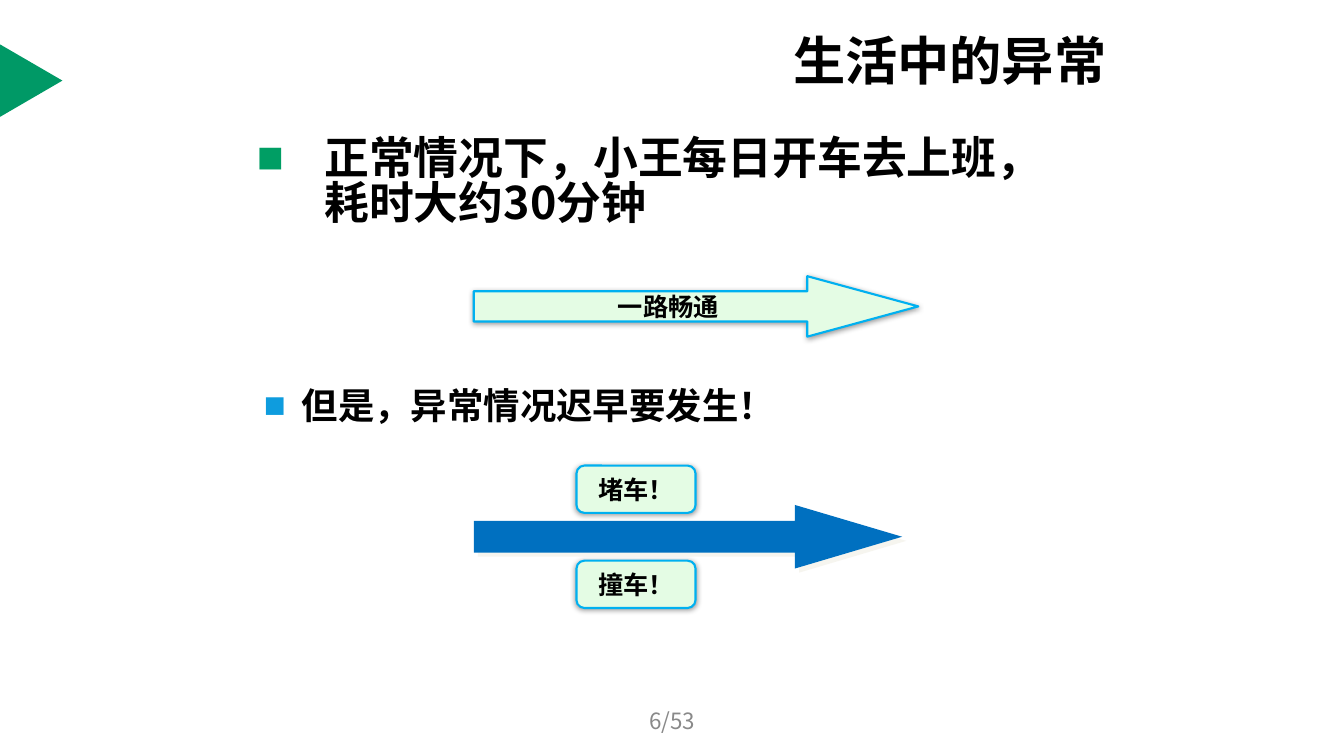
from lxml import etree
from pptx import Presentation
from pptx import util as u
from pptx.dml.color import RGBColor
from pptx.enum import shapes, text
from pptx.oxml.ns import qn

COLORS = {"ink": "000000", "grey": "898989", "marker": "009966",
          "bullet": "009E64", "sub_bullet": "0E9CDE", "pale": "E4FCE4",
          "outline": "00B0F0", "blue": "0070C0", "cream": "EEECE1"}
NOTO, ARIAL = "Noto Sans CJK SC", "Arial"

# Boxes are (left, top, width, height) in points
MARKER_BOX = (-3.6, 35.3, 51.8, 44.6)
TITLE = ("生活中的异常", (559.4, 22.3, 266.4, 41))
PAGE_NUMBER = ("6/53", (328.3, 500.4, 303.8, 28.8))
# text, box, size, font, indent, bullet colour, line spacing
BULLETS = [
    ("正常情况下，小王每日开车去上班，耗时大约30分钟",
     (176.4, 95.8, 601.9, 394.6), 32, NOTO, 48.2, "bullet", 0.83),
    ("但是，异常情况迟早要发生！",
     (181.4, 270, 612, 45.4), 26, ARIAL, 27, "sub_bullet", 1),
]
ARROW_LEFT = 338.4
SMOOTH_ROAD = ("一路畅通", (ARROW_LEFT, 197.3, 317.5, 43.2), 1.835)
BLOCKED_ROAD = ("", (ARROW_LEFT, 360.7, 306, 45.4), 1.687)
TROUBLES = ["堵车！", "撞车！"]
TROUBLE_BOX, TROUBLE_PITCH = (411.8, 332.6, 85, 33.8), 67.9
# colour, opacity %, blur, distance, angle
SOFT_SHADOW = ("ink", 40, 4, 1, 90)
OFFSET_SHADOW = ("cream", 50, 0, 4.2, 45)


def rgb(name):
    return RGBColor.from_string(COLORS[name])


def points(box):
    return [u.Pt(value) for value in box]


def write(frame, words, size, font, color="ink", bold=True,
          align=text.PP_ALIGN.LEFT, anchor=text.MSO_ANCHOR.MIDDLE):
    frame.word_wrap = True
    frame.vertical_anchor = anchor
    paragraph = frame.paragraphs[0]
    paragraph.text = words
    paragraph.alignment = align
    run = paragraph.runs[0]
    run.font.size, run.font.bold, run.font.name = u.Pt(size), bold, font
    run.font.color.rgb = rgb(color)
    etree.SubElement(run.font._element, qn("a:ea"), typeface=NOTO)
    return paragraph


def add_text(slide, words, box, *style, **options):
    frame = slide.shapes.add_textbox(*points(box)).text_frame
    return write(frame, words, *style, **options)


def add_bullet(paragraph, indent, color):
    """Hang the paragraph behind a square bullet."""
    props = paragraph._p.get_or_add_pPr()
    props.set("marL", str(u.Pt(indent)))
    props.set("indent", str(-u.Pt(indent)))
    bullet_color = etree.SubElement(props, qn("a:buClr"))
    etree.SubElement(bullet_color, qn("a:srgbClr"), val=COLORS[color])
    etree.SubElement(props, qn("a:buFont"), typeface=ARIAL)
    etree.SubElement(props, qn("a:buChar"), char="■")


def add_shadow(shape, color, opacity, blur, distance, angle):
    effects = shape._element.spPr.find(qn("a:effectLst"))
    shadow = etree.SubElement(
        effects, qn("a:outerShdw"), blurRad=str(u.Pt(blur)),
        dist=str(u.Pt(distance)), dir=str(angle * 60000),
        algn="ctr", rotWithShape="0")
    tint = etree.SubElement(shadow, qn("a:srgbClr"), val=COLORS[color])
    etree.SubElement(tint, qn("a:alpha"), val=str(opacity * 1000))


def add_block(slide, kind, box, fill, words="", outline=None, shadow=None):
    block = slide.shapes.add_shape(kind, *points(box))
    block.shadow.inherit = False
    block.fill.solid()
    block.fill.fore_color.rgb = rgb(fill)
    if outline:
        block.line.color.rgb = rgb(outline)
        block.line.width = u.Pt(1.5)
    else:
        block.line.fill.background()
    if shadow:
        add_shadow(block, *shadow)
    if words:
        write(block.text_frame, words, 18, ARIAL, align=text.PP_ALIGN.CENTER)
    return block


def main():
    deck = Presentation()
    deck.slide_width, deck.slide_height = u.Pt(960), u.Pt(540)
    slide = deck.slides.add_slide(deck.slide_layouts[6])
    kinds = shapes.MSO_SHAPE

    marker = add_block(slide, kinds.ISOSCELES_TRIANGLE, MARKER_BOX, "marker")
    marker.rotation = 90
    add_text(slide, *TITLE, 37.3, NOTO)

    for words, box, size, font, indent, color, spacing in BULLETS:
        paragraph = add_text(slide, words, box, size, font,
                             anchor=text.MSO_ANCHOR.TOP)
        paragraph.line_spacing = spacing
        add_bullet(paragraph, indent, color)

    for (words, box, head), fill, outline, shadow in (
            (SMOOTH_ROAD, "pale", "outline", SOFT_SHADOW),
            (BLOCKED_ROAD, "blue", None, OFFSET_SHADOW)):
        arrow = add_block(slide, kinds.RIGHT_ARROW, box, fill, words,
                          outline, shadow)
        arrow.adjustments[0], arrow.adjustments[1] = 0.5, head

    left, top, width, height = TROUBLE_BOX
    for row, trouble in enumerate(TROUBLES):
        box = (left, top + row * TROUBLE_PITCH, width, height)
        add_block(slide, kinds.ROUNDED_RECTANGLE, box, "pale", trouble,
                  "outline", SOFT_SHADOW)

    add_text(slide, *PAGE_NUMBER, 16, NOTO, "grey", False,
             align=text.PP_ALIGN.CENTER)
    deck.save("out.pptx")


if __name__ == "__main__":
    main()
